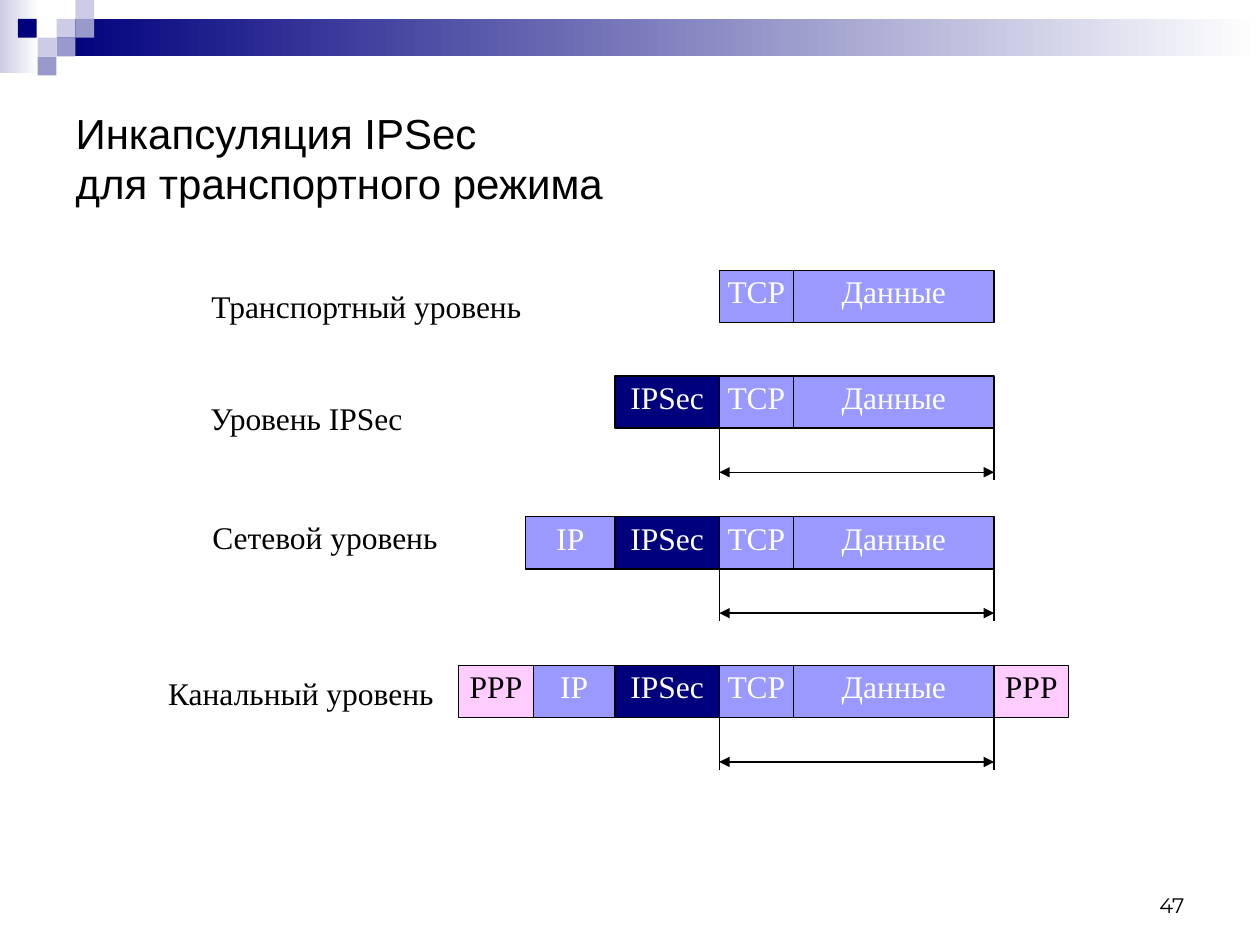
from pptx import Presentation
from pptx.dml.color import RGBColor
from pptx.enum import shapes, text
from pptx.oxml.ns import qn
from pptx.util import Cm, Pt
from lxml import etree

BLACK = RGBColor(0, 0, 0)
WHITE = RGBColor(255, 255, 255)
NAVY = RGBColor(0, 0, 0x7D)
LILAC = RGBColor(0x99, 0x99, 0xFF)
PINK = RGBColor(0xFF, 0xCC, 0xFF)
PALE = RGBColor(0xCC, 0xCC, 0xE6)
GREY_BLUE = RGBColor(0x99, 0x99, 0xCC)
SERIF = "Times New Roman"

TITLE = "Инкапсуляция IPSec\vдля транспортного режима"
PAGE = "47"
DATA, TCP, IPSEC = ("Данные", 4.04), ("ТСР", 1.5), ("IPSec", 2.1)
PPP = ("PPP", 1.5)
STYLES = {"Данные": (LILAC, WHITE), "ТСР": (LILAC, WHITE), "IP": (LILAC, WHITE),
          "IPSec": (NAVY, WHITE), "PPP": (PINK, BLACK)}
LEVELS = [
    ("Транспортный уровень", (4.01, 5.92, 6.78), 14.5, 5.46, [TCP, DATA]),
    ("Уровень IPSec", (3.99, 8.18, 4.45), 12.4, 7.58, [IPSEC, TCP, DATA]),
    ("Сетевой уровень", (4.03, 10.57, 5.05), 10.6, 10.42,
     [("IP", 1.8), IPSEC, TCP, DATA]),
    ("Канальный уровень", (3.14, 13.72, 5.87), 9.25, 13.42,
     [PPP, ("IP", 1.65), IPSEC, TCP, DATA, PPP]),
]
BOX_H, ARROW_DROP, TICK = 1.05, 0.89, 1.05
SPAN_L = 14.5
SPAN_R = SPAN_L + TCP[1] + DATA[1]

SQUARE = 0.38
BARS = [(0, 0, 0.79, 1.47, PALE), (1.14, 0.38, 24.26, 0.76, NAVY)]
SQUARES = [(3, 1, PALE), (4, 0, PALE), (4, 1, GREY_BLUE), (2, 2, PALE),
           (0.95, 1, NAVY), (3, 2, GREY_BLUE), (2, 3, GREY_BLUE)]


def add_rect(s, x, y, w, h):
    sp = s.shapes.add_shape(shapes.MSO_SHAPE.RECTANGLE, Cm(x), Cm(y), Cm(w), Cm(h))
    sp.shadow.inherit = False
    sp.line.fill.background()
    return sp


def fill_solid(sp, color):
    sp.fill.solid()
    sp.fill.fore_color.rgb = color


def write(sp, value, size, font, color, align, spacing=None):
    tf = sp.text_frame
    tf.text = value
    p = tf.paragraphs[0]
    p.alignment = align
    p.line_spacing = spacing
    for r in p.runs:
        r.font.size = Pt(size)
        r.font.name = font
        r.font.color.rgb = color
    return tf


def add_line(s, x1, y1, x2, y2, arrows=False):
    c = s.shapes.add_connector(shapes.MSO_CONNECTOR.STRAIGHT,
                               Cm(x1), Cm(y1), Cm(x2), Cm(y2))
    c.line.color.rgb = BLACK
    c.line.width = Pt(0.75)
    if arrows:
        ln = c.line._get_or_add_ln()
        for end in ("a:headEnd", "a:tailEnd"):
            etree.SubElement(ln, qn(end), type="triangle")
    etree.SubElement(c._element.spPr, qn("a:effectLst"))


def add_decor(s):
    for x, y, w, h, color in BARS:
        fill = add_rect(s, x, y, w, h).fill
        fill.gradient()
        fill.gradient_angle = 0
        for stop, rgb in zip(fill.gradient_stops, (color, WHITE)):
            stop.color.rgb = rgb
    for col, row, color in SQUARES:
        fill_solid(add_rect(s, col * SQUARE, row * SQUARE, SQUARE, SQUARE), color)


def add_packet(s, x, y, fields):
    for name, w in fields:
        fill, color = STYLES[name]
        sp = add_rect(s, x, y, w, BOX_H)
        fill_solid(sp, fill)
        sp.line.color.rgb = BLACK
        sp.line.width = Pt(0.75)
        tf = write(sp, name, 18, SERIF, color, text.PP_ALIGN.CENTER, 0.63)
        tf.word_wrap = False
        tf.vertical_anchor = text.MSO_ANCHOR.MIDDLE
        x += w


def add_span(s, top):
    for x in (SPAN_L, SPAN_R):
        add_line(s, x, top, x, top + TICK)
    add_line(s, SPAN_L, top + ARROW_DROP, SPAN_R, top + ARROW_DROP, arrows=True)


def main():
    prs = Presentation()
    prs.slide_width, prs.slide_height = Cm(25.4), Cm(19.05)
    s = prs.slides.add_slide(prs.slide_layouts[5])
    add_decor(s)

    title = s.shapes.title
    title.left, title.top, title.width, title.height = Cm(1.27), Cm(1.27), Cm(22.86), Cm(3.81)
    tf = write(title, TITLE, 24, "Arial", BLACK, text.PP_ALIGN.LEFT)
    tf.vertical_anchor = text.MSO_ANCHOR.MIDDLE

    for label, (lx, ly, lw), x, y, fields in LEVELS:
        add_packet(s, x, y, fields)
        if IPSEC in fields:
            add_span(s, y + BOX_H)
        tb = s.shapes.add_textbox(Cm(lx), Cm(ly), Cm(lw), Cm(0.74))
        tf = write(tb, label, 18, SERIF, BLACK, text.PP_ALIGN.LEFT, 0.63)
        tf.word_wrap = False
        tf.auto_size = text.MSO_AUTO_SIZE.SHAPE_TO_FIT_TEXT

    tb = s.shapes.add_textbox(Cm(22.5), Cm(17.35), Cm(1.63), Cm(1.27))
    tf = write(tb, PAGE, 12, "Montserrat", BLACK, text.PP_ALIGN.RIGHT)
    tf.word_wrap = True
    tf.vertical_anchor = text.MSO_ANCHOR.BOTTOM

    prs.save("out.pptx")


if __name__ == "__main__":
    main()
